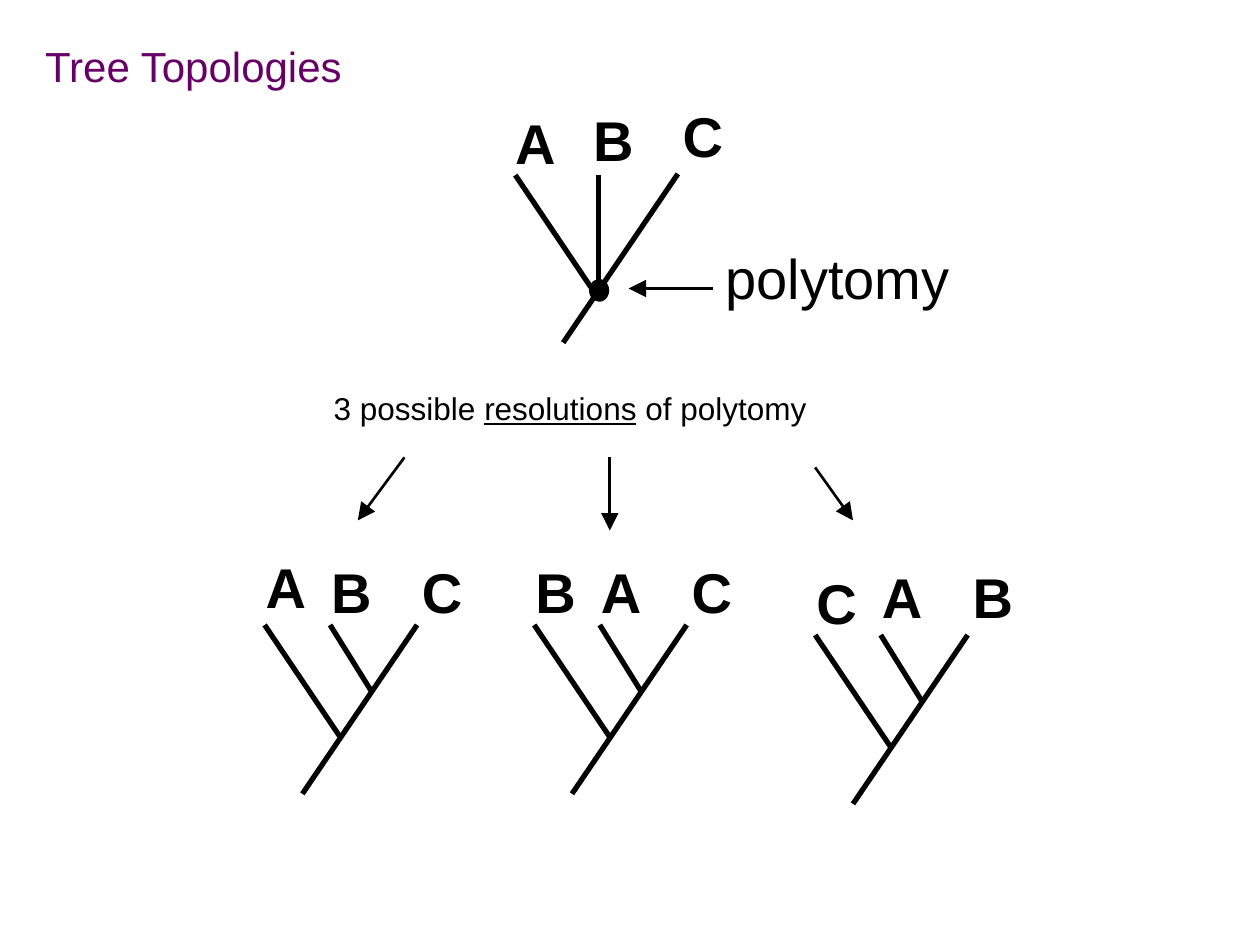
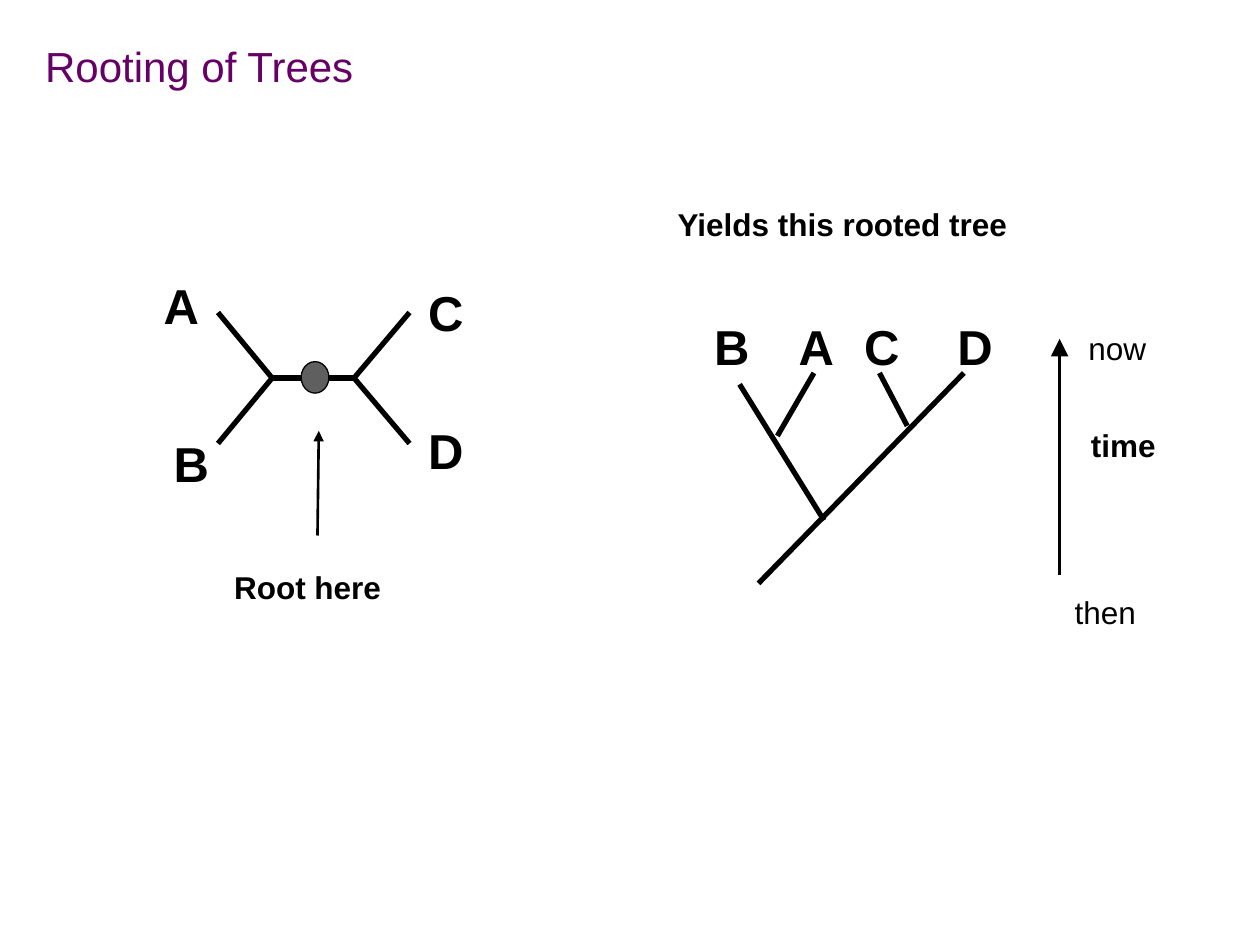
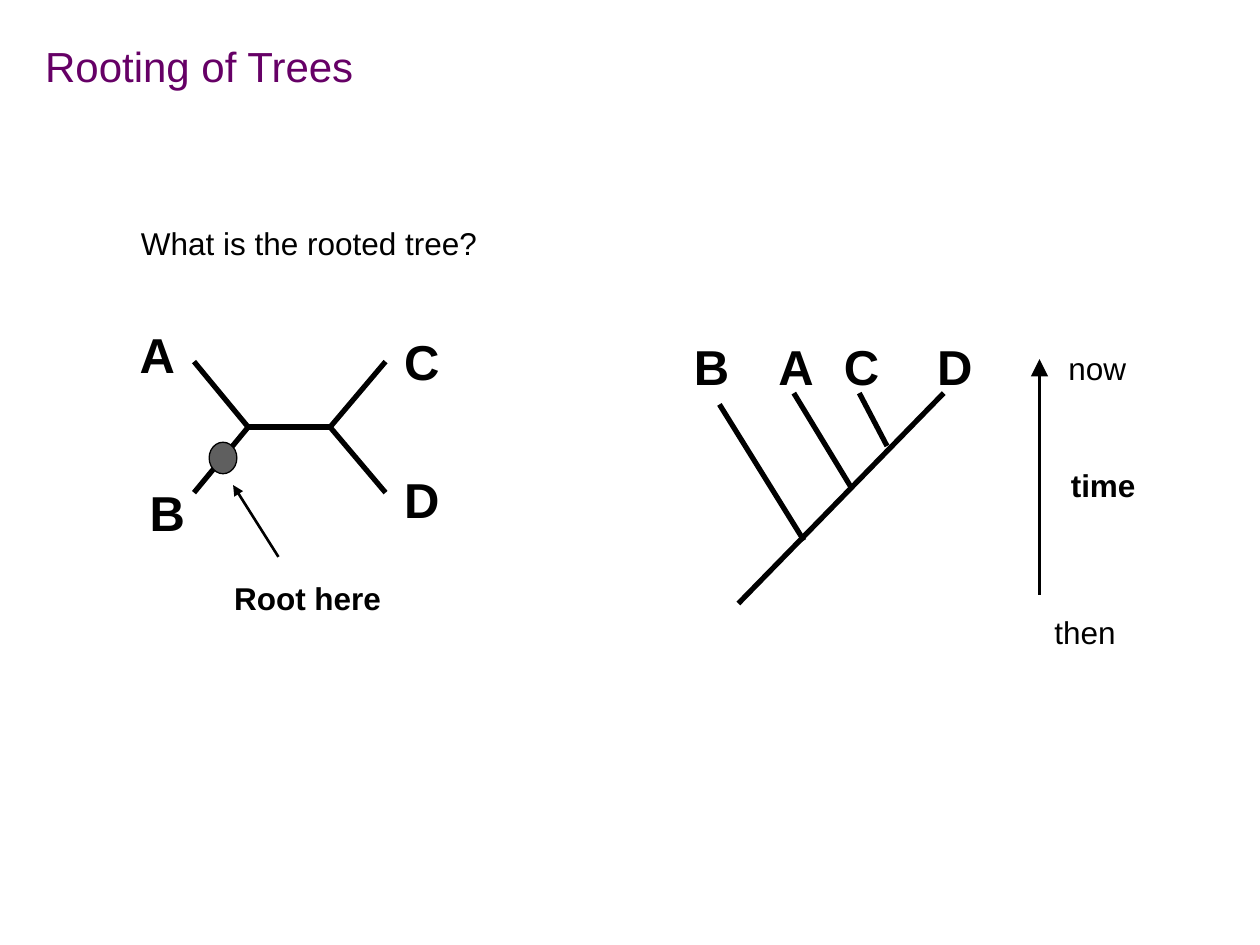
from lxml.etree import SubElement
from pptx import Presentation
from pptx.dml.color import RGBColor
from pptx.enum.shapes import MSO_CONNECTOR, MSO_SHAPE
from pptx.enum.text import MSO_ANCHOR, MSO_AUTO_SIZE
from pptx.oxml.ns import qn
from pptx.util import Emu, Pt

EMU_PER_PX = 9144
COLORS = {"ink": "000000", "title": "660066", "root": "5F5F5F"}
FORMATS = {
    "title": {"size": Pt(24), "bold": False},
    "taxon": {"size": Pt(32), "bold": True},
    "tip": {"size": Pt(28), "bold": True},
    "callout": {"size": Pt(32), "bold": False},
    "plain": {"size": Pt(18), "bold": False},
    "strong": {"size": Pt(18), "bold": True},
}


def px(length):
    """Turn pixels into EMU."""
    return Emu(round(length * EMU_PER_PX))


def color(name):
    """Return a named colour."""
    return RGBColor.from_string(COLORS[name])


def add_text(slide, box, runs, style, wrap=False, fit=True, anchor=MSO_ANCHOR.TOP):
    """Add a text box of (text, underline) runs, or of one plain string."""
    shape = slide.shapes.add_textbox(*map(px, box))
    frame_format = {
        "word_wrap": wrap,
        "auto_size": MSO_AUTO_SIZE.SHAPE_TO_FIT_TEXT if fit else MSO_AUTO_SIZE.NONE,
        "vertical_anchor": anchor,
    }
    for attribute, value in frame_format.items():
        setattr(shape.text_frame, attribute, value)
    paragraph = shape.text_frame.paragraphs[0]
    for text, underline in [(runs, False)] if isinstance(runs, str) else runs:
        run = paragraph.add_run()
        run.text = text
        run_format = {"name": "Arial", "underline": underline, **FORMATS[style]}
        for attribute, value in run_format.items():
            setattr(run.font, attribute, value)
        run.font.color.rgb = color("title" if style == "title" else "ink")


def add_label(slide, box, letter, style, anchor=MSO_ANCHOR.TOP):
    """Add the letter of one tip in a box of fixed size."""
    add_text(slide, box, letter, style, wrap=True, fit=False, anchor=anchor)


def add_line(slide, start, end, origin=(0, 0), width=3, arrow=None):
    """Draw a line between two points given relative to an origin."""
    left, top = origin
    points = (start[0] + left, start[1] + top, end[0] + left, end[1] + top)
    connector = slide.shapes.add_connector(MSO_CONNECTOR.STRAIGHT, *map(px, points))
    connector.line.width = Pt(width)
    connector.line.color.rgb = color("ink")
    properties = connector._element.spPr
    SubElement(properties, qn("a:effectLst"))
    if arrow:
        SubElement(connector.line._get_or_add_ln(), qn("a:tailEnd"),
                   type="triangle", w=arrow, len=arrow)


def add_arrow(slide, start, end, origin=(0, 0), size="lg"):
    """Draw a thin arrow that points at its end."""
    add_line(slide, start, end, origin, 1.5, size)


def add_dot(slide, box, fill):
    """Draw the dot that marks a node."""
    dot = slide.shapes.add_shape(MSO_SHAPE.OVAL, *map(px, box))
    dot.shadow.inherit = False
    dot.fill.solid()
    dot.fill.fore_color.rgb = color(fill)
    dot.line.color.rgb = color("ink")
    dot.line.width = Pt(0.75)


def add_titled_slide(presentation, title, width):
    """Add a blank slide with its title."""
    slide = presentation.slides.add_slide(presentation.slide_layouts[6])
    add_text(slide, (26, 27, width, 50), title, "title")
    return slide


def draw_polytomy(slide, left, top):
    """Draw three branches that meet at one marked node."""
    branches = [((38, 134), (129, 0)), ((0, 1), (60, 90)), ((66, 1), (66, 84))]
    for start, end in branches:
        add_line(slide, start, end, (left, top))
    labels = [("A", -10, -41, 26, 32), ("B", 52, -42, 27, 29), ("C", 123, -50, 30, 38)]
    for letter, x, y, width, height in labels:
        add_label(slide, (left + x, top + y, width, height), letter, "taxon",
                  MSO_ANCHOR.MIDDLE)
    add_dot(slide, (left + 59, top + 84, 15, 17), "ink")
    add_arrow(slide, (157, 91), (90, 91), (left, top))
    add_text(slide, (left + 157, top + 50, 201, 64), "polytomy", "callout")


def draw_resolution(slide, left, top, labels):
    """Draw one resolved tree with its (letter, width, height) labels."""
    branches = [((30, 134), (121, 0)), ((0, 0), (60, 89)), ((52, 0), (85, 53))]
    for start, end in branches:
        add_line(slide, start, end, (left, top))
    for x, (letter, width, height) in zip((-9, 43, 115), labels):
        add_label(slide, (left + x, top - 12 - height, width, height), letter, "taxon",
                  MSO_ANCHOR.MIDDLE)


def draw_unrooted_tree(slide, left, top, root):
    """Draw the four-tip unrooted tree with a root dot at a relative place."""
    inner, outer = (43, 52), (108, 52)
    branches = [(inner, outer), (outer, (152, 0)), ((0, 0), inner),
                (outer, (152, 104)), ((0, 104), inner)]
    for start, end in branches:
        add_line(slide, start, end, (left, top))
    labels = [("A", -53, -34, 22), ("B", -45, 91, 27), ("C", 157, -29, 27), ("D", 157, 81, 27)]
    for letter, x, y, width in labels:
        add_label(slide, (left + x, top + y, width, 40), letter, "tip")
    add_dot(slide, (left + root[0], top + root[1], 22, 25), "root")


def draw_rooted_tree(slide, left, top, branch_a):
    """Draw the rooted tree, with the branch of A as given."""
    branches = [((208, 50), (45, 217)), ((30, 59), (97, 167)), branch_a, ((141, 50), (163, 92))]
    for start, end in branches:
        add_line(slide, start, end, (left, top))
    for letter, x, height in [("A", 67, 40), ("B", 0, 49), ("C", 119, 40), ("D", 193, 40)]:
        add_label(slide, (left + x, top, 44, height), letter, "tip")


def draw_time_axis(slide, left, top, time_top):
    """Draw the time arrow with its three words."""
    add_arrow(slide, (0, 187), (0, 0), (left, top))
    words = [("time", 15, time_top, 72, "strong"), ("then", 2, 197, 69, "plain"),
             ("now", 13, -13, 69, "plain")]
    for word, x, y, width, style in words:
        add_text(slide, (left + x, top + y, width, 40), word, style)


def build_topologies(presentation):
    """Build the slide about a polytomy and its resolutions."""
    slide = add_titled_slide(presentation, "Tree Topologies", 258)
    draw_polytomy(slide, 409, 138)
    resolutions = [
        (210, 496, [("A", 21, 38), ("B", 27, 29), ("C", 30, 29)]),
        (424, 496, [("B", 24, 29), ("A", 24, 29), ("C", 22, 29)]),
        (647, 504, [("C", 21, 29), ("A", 28, 38), ("B", 22, 38)]),
    ]
    for left, top, labels in resolutions:
        draw_resolution(slide, left, top, labels)
    caption = [("3 possible ", False), ("resolutions", True), (" of polytomy", False)]
    add_text(slide, (255, 304, 467, 40), caption, "plain", wrap=True)
    for start, end in [((321, 363), (284, 413)), ((484, 363), (484, 421)),
                       ((647, 371), (677, 413))]:
        add_arrow(slide, start, end)


def build_rooting(presentation, layout):
    """Build a slide that roots a tree, placed as the layout says."""
    slide = add_titled_slide(presentation, "Rooting of Trees", 267)
    draw_unrooted_tree(slide, *layout["unrooted"], layout["root"])
    add_text(slide, (176, layout["root_text_top"], 138, 40), "Root here", "strong")
    add_arrow(slide, *layout["root_arrow"], size="med")
    add_text(slide, *layout["heading"])
    left, top = layout["rooted"]
    draw_rooted_tree(slide, left, top, layout["branch_a"])
    draw_time_axis(slide, left + 284, top + 23, layout["time_top"])


ROOTINGS = [
    {"unrooted": (173, 248), "root": (66, 39), "root_text_top": 446,
     "root_arrow": ((252, 425), (253, 342)),
     "heading": ((528, 158, 284, 40), "Yields this rooted tree", "strong"),
     "rooted": (557, 246), "branch_a": ((89, 50), (60, 100)), "time_top": 64},
    {"unrooted": (154, 287), "root": (12, 64), "root_text_top": 455,
     "root_arrow": ((221, 442), (185, 385)),
     "heading": ((102, 173, 329, 40), "What is the rooted tree?", "plain", True),
     "rooted": (541, 262), "branch_a": ((89, 50), (134, 124)), "time_top": 80},
]


def main():
    """Build and save the presentation."""
    presentation = Presentation()
    presentation.slide_width, presentation.slide_height = px(1000), px(750)
    build_topologies(presentation)
    for layout in ROOTINGS:
        build_rooting(presentation, layout)
    presentation.save("out.pptx")


if __name__ == "__main__":
    main()
